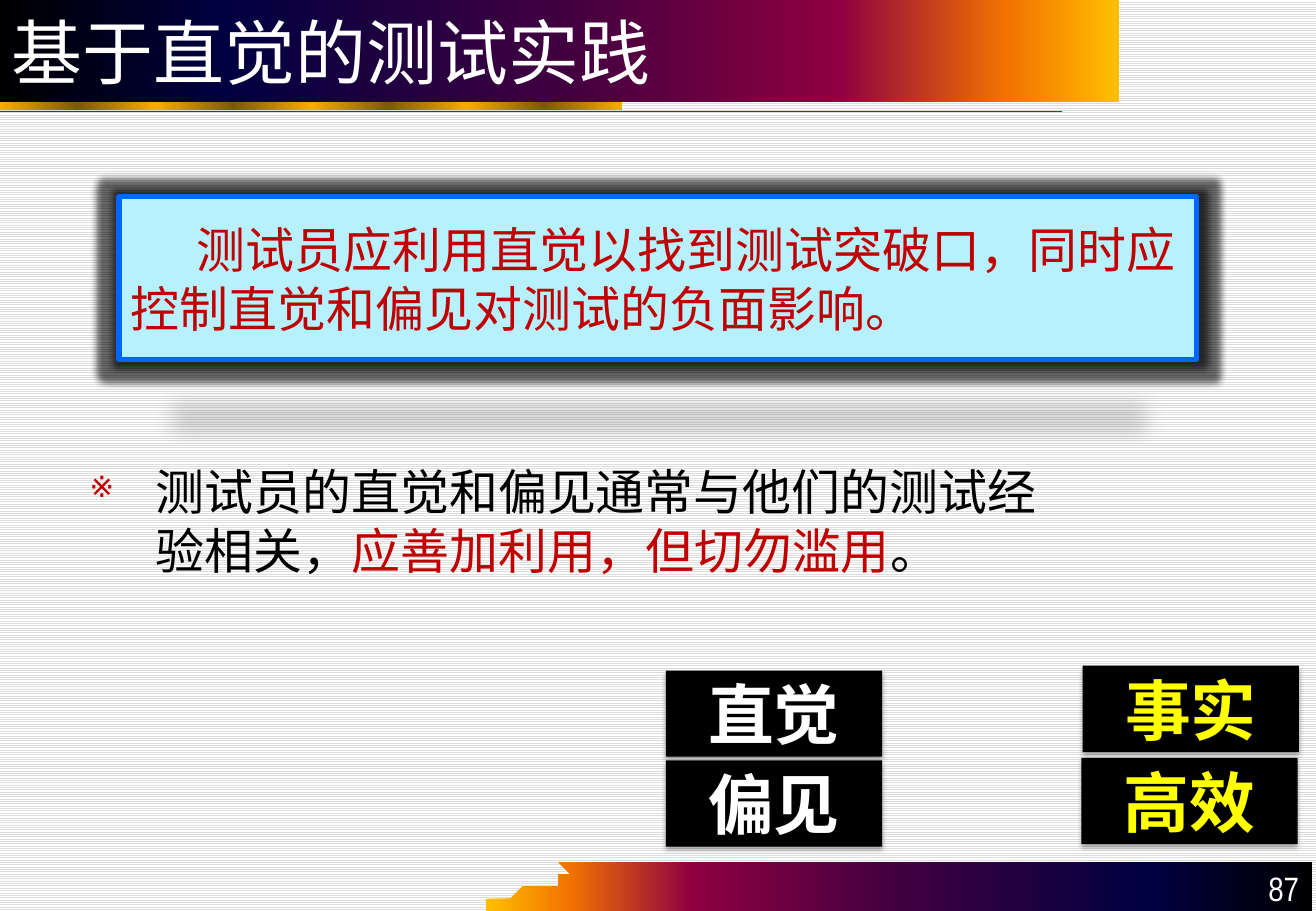
"""Build the slide on using intuition in software testing practice."""
from lxml.etree import SubElement
from pptx import Presentation
from pptx.dml.color import RGBColor
from pptx.enum.dml import MSO_PATTERN
from pptx.enum.lang import MSO_LANGUAGE_ID
from pptx.enum.shapes import MSO_CONNECTOR, MSO_SHAPE
from pptx.enum.text import MSO_ANCHOR, PP_ALIGN
from pptx.oxml import parse_xml
from pptx.oxml.ns import qn
from pptx.util import Inches, Pt

COLORS = {
    "black": "000000", "white": "FFFFFF", "ruling": "DDDDDD", "rule": "CC0000",
    "accent": "C00000", "panel": "B8F1FE", "frame": "0067FE", "yellow": "FFFF00",
    "navy": "000040", "purple": "400040", "wine": "8F0040", "orange": "F27300",
    "gold": "FFBF00", "bronze": "825600", "amber": "FFA800",
}
RGB = {name: RGBColor.from_string(value) for name, value in COLORS.items()}
NAMESPACE = 'xmlns:a="http://schemas.openxmlformats.org/drawingml/2006/main"'
CELL = Inches(0.1)
COLUMNS, ROWS = 108.3, 75

deck = Presentation()
deck.slide_width, deck.slide_height = int(COLUMNS * CELL), int(ROWS * CELL)
slide = deck.slides.add_slide(deck.slide_layouts[6])
paper = slide.background.fill
paper.patterned()
paper.pattern = MSO_PATTERN.LIGHT_HORIZONTAL
paper.fore_color.rgb, paper.back_color.rgb = RGB["ruling"], RGB["white"]


def block(column, row, width, height, fill=None):
    """Place a plain rectangle on the grid."""
    box = [int(length * CELL) for length in (column, row, width, height)]
    shape = slide.shapes.add_shape(MSO_SHAPE.RECTANGLE, *box)
    shape.shadow.inherit = False
    shape.line.fill.background()
    if fill:
        shape.fill.solid()
        shape.fill.fore_color.rgb = RGB[fill]
    else:
        shape.fill.background()
    return shape


def write(shape, runs, face, size, anchor=MSO_ANCHOR.MIDDLE,
          align=PP_ALIGN.LEFT, bold=False, margin=0, indent=0, bullet=None):
    """Fill a shape with one paragraph of coloured runs."""
    frame = shape.text_frame
    frame.word_wrap, frame.vertical_anchor = True, anchor
    paragraph = frame.paragraphs[0]
    paragraph.alignment = align
    properties = paragraph._p.get_or_add_pPr()
    properties.set("marL", str(int(margin * CELL)))
    properties.set("indent", str(int(indent * CELL)))
    if bullet:
        tint = SubElement(properties, qn("a:buClr"))
        SubElement(tint, qn("a:srgbClr"), val=COLORS["accent"])
        SubElement(properties, qn("a:buSzPct"), val="60000")
        SubElement(properties, qn("a:buChar"), char=bullet)
    style = {"name": face, "size": Pt(size), "bold": bold,
             "language_id": MSO_LANGUAGE_ID.SIMPLIFIED_CHINESE}
    for text, color in runs:
        run = paragraph.add_run()
        run.text = text
        run.font.color.rgb = RGB[color]
        for attribute, value in style.items():
            setattr(run.font, attribute, value)
        SubElement(run._r.get_or_add_rPr(), qn("a:ea"), typeface=face)


start, pull_start, pull_end, end = (39.7, 75), (39.7, 73.8), (48.7, 72.5), (46.5, 71.4)
wave = []
for step in range(1, 25):
    t = step / 24
    weights = ((1 - t) ** 3, 3 * t * (1 - t) ** 2, 3 * t * t * (1 - t), t ** 3)
    anchors = (start, pull_start, pull_end, end)
    wave.append(tuple(sum(w * point[axis] for w, point in zip(weights, anchors))
                      for axis in (0, 1)))
outline = slide.shapes.build_freeform(*start, scale=CELL)
outline.add_line_segments(wave + [(COLUMNS, 71.4), (COLUMNS, ROWS)], close=True)
footer = outline.convert_to_shape()
footer.shadow.inherit = False
footer.line.fill.background()

strip = block(0, 7.6, 51.2, 1.5)
banner = block(0, 0, 92.1, 8.4)
sunset = [(0, "black"), (20, "navy"), (50, "purple"),
          (75, "wine"), (90, "orange"), (100, "gold")]
brass = [(12.5 * i, ("amber", "bronze")[i % 2]) for i in range(9)]
sunrise = [(100 - share, color) for share, color in reversed(sunset)]
for band, stops in ((footer, sunrise), (strip, brass), (banner, sunset)):
    band.fill.gradient()
    band.fill.gradient_angle = 0
    stop_list = band._element.spPr.find(qn("a:gradFill")).find(qn("a:gsLst"))
    for stop in list(stop_list):
        stop_list.remove(stop)
    for share, color in stops:
        stop = SubElement(stop_list, qn("a:gs"), pos=str(int(share * 1000)))
        SubElement(stop, qn("a:srgbClr"), val=COLORS[color])

underline = slide.shapes.add_connector(
    MSO_CONNECTOR.STRAIGHT, 0, int(9.2 * CELL), int(87.4 * CELL), int(9.2 * CELL))
underline.line.color.rgb, underline.line.width = RGB["rule"], Pt(0.75)
SubElement(underline._element.spPr, qn("a:effectLst"))

write(banner, [("基于直觉的测试实践", "white")], "DejaVu Sans", 42)

advice = block(6.4, 37.5, 81, 11.8)
write(advice, [("测试员的直觉和偏见通常与他们的测试经验相关，", "black"),
               ("应善加利用，但切勿滥用", "accent"), ("。", "black")],
      "Noto Sans CJK SC", 29, anchor=MSO_ANCHOR.TOP,
      margin=5.4, indent=-5.4, bullet="※")

page = block(98.3, 71.3, 9.6, 4)
write(page, [("87", "white")], "Arial Narrow", 20,
      anchor=MSO_ANCHOR.BOTTOM, align=PP_ALIGN.RIGHT)

principle = block(9.8, 16.2, 88.7, 13.4, "panel")
principle.line.color.rgb, principle.line.width = RGB["frame"], Pt(3)
write(principle, [("测试员应利用直觉以找到测试突破口，同时应控制直觉和偏见对测试的负面影响。",
                   "accent")], "DejaVu Sans", 29, indent=5.4)

glow = ('<a:glow rad="101600"><a:srgbClr val="000000">'
        '<a:alpha val="60000"/></a:srgbClr></a:glow>')
effects = [(principle, glow, 12, 25, 15, 'sx="90000" sy="-19000"')]
keywords = [("直觉", 54.8, 55.2, "white"), ("偏见", 54.8, 62.6, "white"),
            ("事实", 89.1, 54.8, "yellow"), ("高效", 89, 62.4, "yellow")]
for word, column, row, color in keywords:
    label = block(column, row, 17.8, 7.1, "black")
    write(label, [(word, color)], "Noto Sans CJK JP", 39,
          align=PP_ALIGN.CENTER, bold=True)
    effects.append((label, "", 3.1, 1.8, 35, ""))

for shape, halo, blur, distance, opacity, scale in effects:
    properties = shape._element.spPr
    properties.replace(properties.find(qn("a:effectLst")), parse_xml(
        f'<a:effectLst {NAMESPACE}>{halo}<a:outerShdw blurRad="{Pt(blur)}" '
        f'dist="{Pt(distance)}" dir="5400000" {scale} rotWithShape="0">'
        f'<a:srgbClr val="000000"><a:alpha val="{opacity * 1000}"/></a:srgbClr>'
        '</a:outerShdw></a:effectLst>'))

deck.save("out.pptx")
